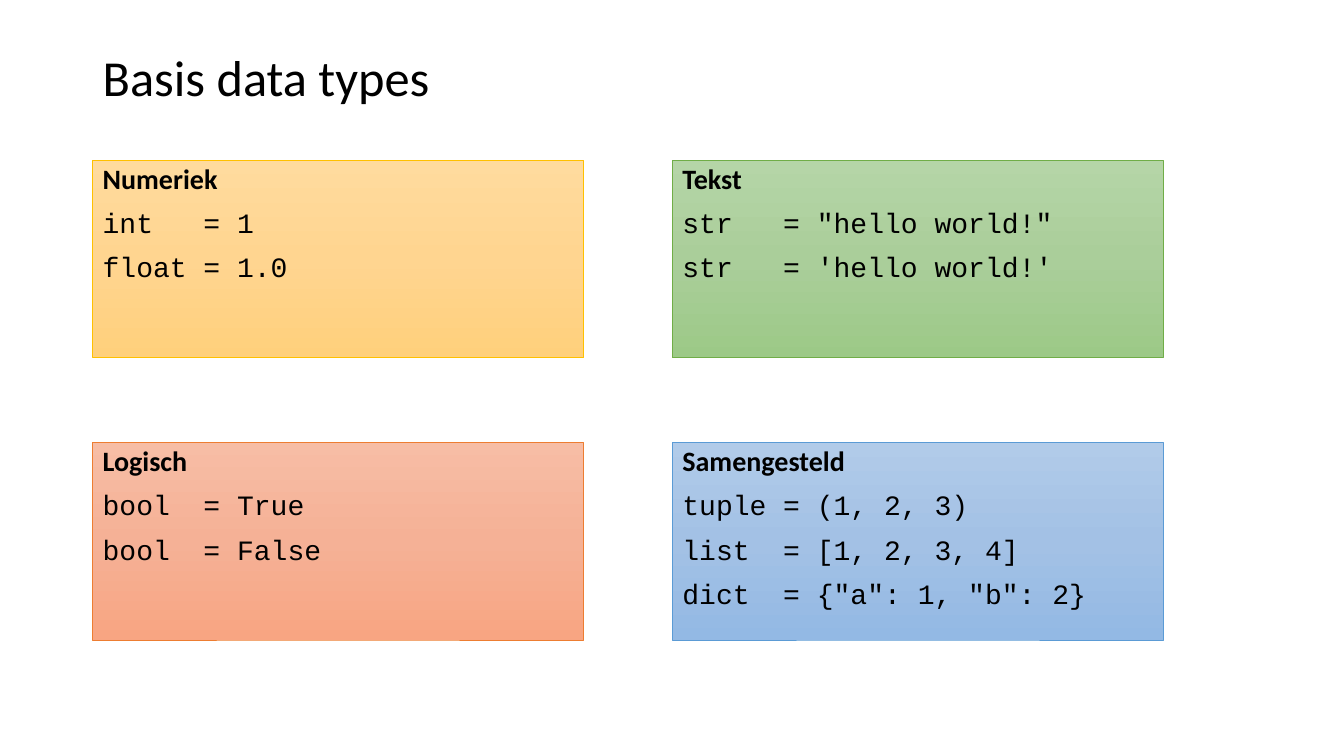
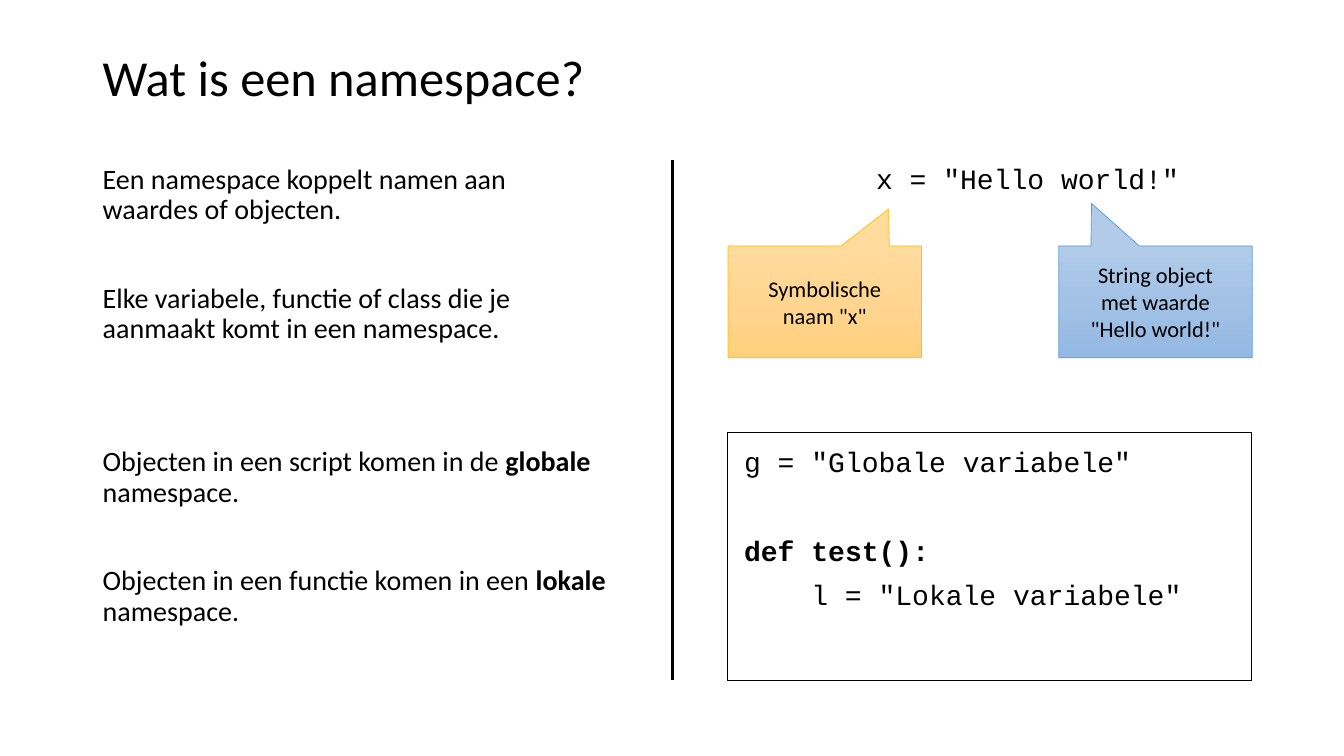
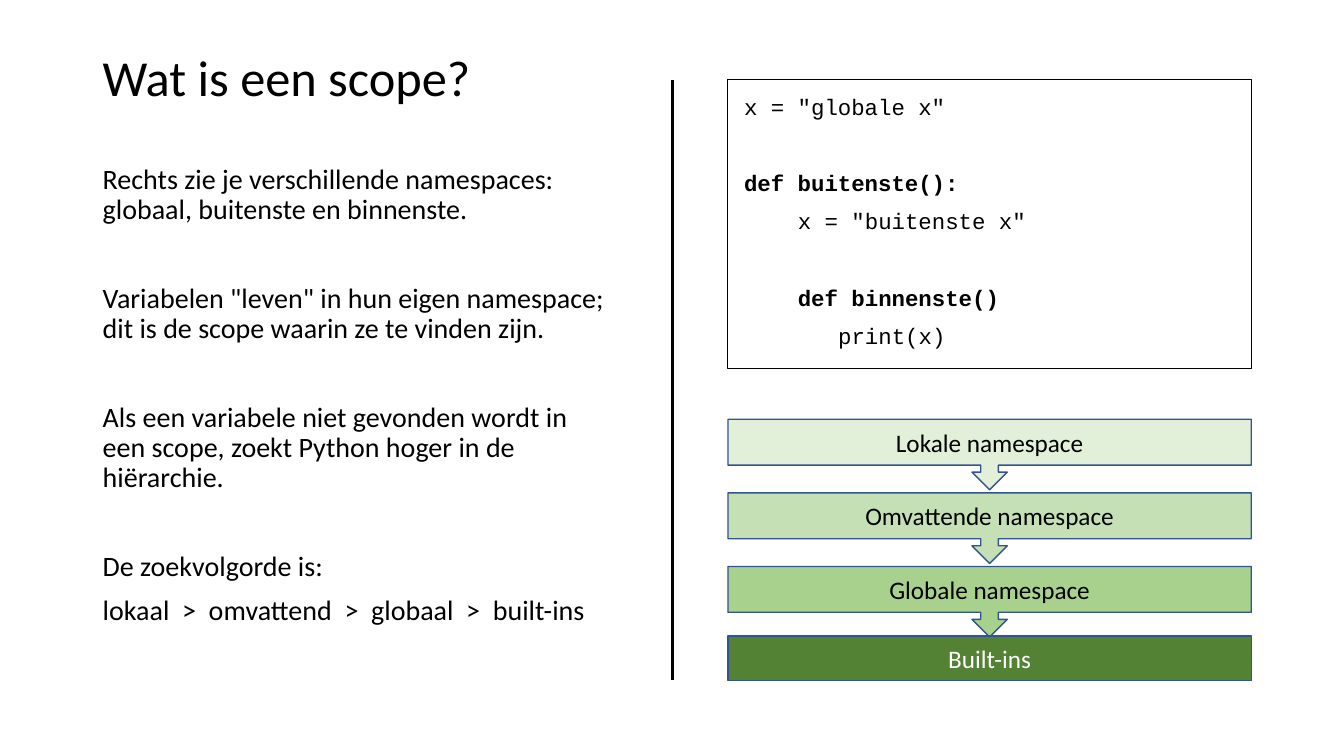
import copy
import pptx
import pptx.util
import pptx.dml.color
import pptx.enum.shapes
import pptx.enum.text
import pptx.oxml.ns
import pptx.oxml

Inches, Pt = pptx.util.Inches, pptx.util.Pt
KIND = pptx.enum.shapes.MSO_SHAPE
ALIGN = pptx.enum.text.PP_ALIGN
ANCHOR = pptx.enum.text.MSO_ANCHOR

# Shared look
COLORS = {"black": "000000", "white": "FFFFFF", "edge": "325491",
          "mint": "E2F0D9", "leaf": "C5E0B4", "grass": "A9D18E", "moss": "548235"}
# Line colour, then gradient stops from top to bottom
THEMES = {"gold": ("FFC000", "FFDB9E", "FFD590", "FFD07C"),
          "green": ("70AD47", "B5D5A7", "AACE9A", "9CC987"),
          "orange": ("ED7D31", "F7BDA5", "F5B196", "F8A582"),
          "blue": ("5B9BD5", "B1CBE9", "A3C1E5", "93B9E4")}
SANS, MONO = "Calibri", "Courier New"
LEFT, RIGHT, MID, TOP, END = 0.92, 7.22, 6.67, 1.59, 6.75
WIDE = 5.19

# Content: *bold*, "" is a blank line, leading spaces become an indent
TYPES = [
    ("gold", ["Numeriek", "int\t= 1", "float\t= 1.0"]),
    ("green", ["Tekst", "str\t= \"hello world!\"", "str\t= 'hello world!'"]),
    ("orange", ["Logisch", "bool\t= True", "bool\t= False"]),
    ("blue", ["Samengesteld", "tuple\t= (1, 2, 3)", "list\t= [1, 2, 3, 4]",
              "dict\t= {\"a\": 1, \"b\": 2}"]),
]
NAMES = ["Een namespace koppelt namen aan waardes of objecten.", "",
         "Elke variabele, functie of class die je aanmaakt komt in een namespace.", "", "",
         "Objecten in een script komen in de *globale* namespace.", "",
         "Objecten in een functie komen in een *lokale* namespace."]
HELLO = ["x = \"Hello world!\""]
NOTES = [  # left, theme, pointer, lines
    (RIGHT, "gold", (0.33, -0.83), ["Symbolische", "naam \"x\""]),
    (10.5, "blue", (-0.33, -0.88), ["String object", "met waarde", "\"Hello world!\""]),
]
LOCAL = ["g = \"Globale variabele\"", "", "*def test():*", "    l = \"Lokale variabele\""]
SCOPE = ["Rechts zie je verschillende namespaces: globaal, buitenste en binnenste.", "",
         "Variabelen \"leven\" in hun eigen namespace; dit is de scope waarin ze te vinden zijn.",
         "",
         "Als een variabele niet gevonden wordt in een scope, zoekt Python hoger in de hiërarchie.",
         "", "De zoekvolgorde is:", "lokaal  >  omvattend  >  globaal  >  built-ins"]
NESTED = ["x = \"globale x\"", "", "*def buitenste():*", "    x = \"buitenste x\"", "",
          "    *def binnenste()*", "       print(x)"]
STEPS = [("Lokale namespace", "mint"), ("Omvattende namespace", "leaf"),
         ("Globale namespace", "grass")]


def rgb(name):
    return pptx.dml.color.RGBColor.from_string(COLORS.get(name, name))


def write(shape, lines, size=20, font=SANS, color="black", align=ALIGN.LEFT,
          anchor=ANCHOR.TOP, lead=0.9, space=10, inset=None, head=False):
    frame = shape.text_frame
    frame.word_wrap, frame.vertical_anchor = True, anchor
    if inset:
        frame.margin_left = frame.margin_right = Inches(inset)
        frame.margin_top = frame.margin_bottom = Inches(inset)
    blanks, first = 0, True
    for line in lines:
        if not line:
            blanks += 1
            continue
        para = frame.paragraphs[0] if first else frame.add_paragraph()
        para.alignment, para.line_spacing = align, lead
        para.space_before = Pt(round(space + blanks * (space + 1.09 * size), 1))
        bare = line.lstrip(" ")
        depth = len(line) - len(bare)
        if depth:
            props = para._p.get_or_add_pPr()
            props.set("marL", str(Pt(depth * 0.6 * size)))
            props.set("indent", "0")
        title = head and first
        for i, part in enumerate(bare.split("*")):
            if part:
                run = para.add_run()
                run.text = part
                run.font.name = SANS if title else font
                run.font.size = Pt(size)
                run.font.bold = title or i % 2 == 1
                run.font.color.rgb = rgb(color)
        blanks, first = 0, False


def text(slide, left, top, width, height, lines, **fmt):
    box = slide.shapes.add_textbox(*map(Inches, (left, top, width, height)))
    write(box, lines, **fmt)


def block(slide, kind, left, top, width, height, lines, fill=None, theme=None,
          line="black", weight=0.75, **fmt):
    shape = slide.shapes.add_shape(kind, *map(Inches, (left, top, width, height)))
    shape.shadow.inherit = False
    if theme:
        line, *shades = THEMES[theme]
        weight = 0.5
        shape.fill.gradient()
        shape.fill.gradient_angle = 270
        stops = shape._element.find(".//" + pptx.oxml.ns.qn("a:gsLst"))
        stops.insert(1, copy.deepcopy(stops[0]))
        for i, (stop, shade) in enumerate(zip(shape.fill.gradient_stops, shades)):
            stop.position, stop.color.rgb = i / 2, rgb(shade)
    elif fill:
        shape.fill.solid()
        shape.fill.fore_color.rgb = rgb(fill)
    else:
        shape.fill.background()
    shape.line.color.rgb, shape.line.width = rgb(line), Pt(weight)
    write(shape, lines, **fmt)
    return shape


def divide(slide, top):
    rule = slide.shapes.add_connector(pptx.enum.shapes.MSO_CONNECTOR.STRAIGHT,
                                      *map(Inches, (MID, top, MID, END)))
    rule.line.color.rgb, rule.line.width = rgb("black"), Pt(1.5)
    rule._element.spPr.append(pptx.oxml.parse_xml(
        "<a:effectLst %s/>" % pptx.oxml.ns.nsdecls("a")))


def page(title):
    slide = deck.slides.add_slide(deck.slide_layouts[6])
    text(slide, LEFT, 0.4, 11.5, 0.79, [title], size=36, anchor=ANCHOR.MIDDLE, space=0)
    return slide


deck = pptx.Presentation()
deck.slide_width, deck.slide_height = Inches(13.33), Inches(7.5)
center = {"align": ALIGN.CENTER, "anchor": ANCHOR.MIDDLE, "lead": 1.0, "space": 0}

# Data types: two by two grid
slide = page("Basis data types")
for i, (theme, lines) in enumerate(TYPES):
    row, col = divmod(i, 2)
    block(slide, KIND.RECTANGLE, LEFT + col * 5.75, TOP + row * 2.8, 4.87, 1.96,
          lines, theme=theme, font=MONO, head=True)

# Namespace: explanation, callouts and code
slide = page("Wat is een namespace?")
text(slide, LEFT, TOP, WIDE, END - TOP, NAMES)
text(slide, 8.59, TOP, 3.29, 0.44, HELLO, font=MONO)
for left, theme, point, lines in NOTES:
    note = block(slide, KIND.RECTANGULAR_CALLOUT, left, 2.44, 1.92, 1.11, lines,
                 theme=theme, size=16, **center)
    note.adjustments[0], note.adjustments[1] = point
block(slide, KIND.RECTANGLE, RIGHT, 4.29, WIDE, END - 4.29, LOCAL, font=MONO, inset=0.16)
divide(slide, TOP)

# Scope: explanation, code and search order
slide = page("Wat is een scope?")
text(slide, LEFT, TOP, WIDE, END - TOP, SCOPE)
block(slide, KIND.RECTANGLE, RIGHT, 0.79, WIDE, 2.87, NESTED, size=16, font=MONO, inset=0.16)
divide(slide, 0.79)
step = {"line": "edge", "weight": 1, "size": 18, **center}
for i, (label, fill) in enumerate(STEPS):
    block(slide, KIND.DOWN_ARROW_CALLOUT, RIGHT, 4.16 + i * 0.73, WIDE, 0.7, [label],
          fill=fill, **step)
block(slide, KIND.RECTANGLE, RIGHT, END - 0.44, WIDE, 0.44, ["Built-ins"],
      fill="moss", color="white", **step)

deck.save("out.pptx")
